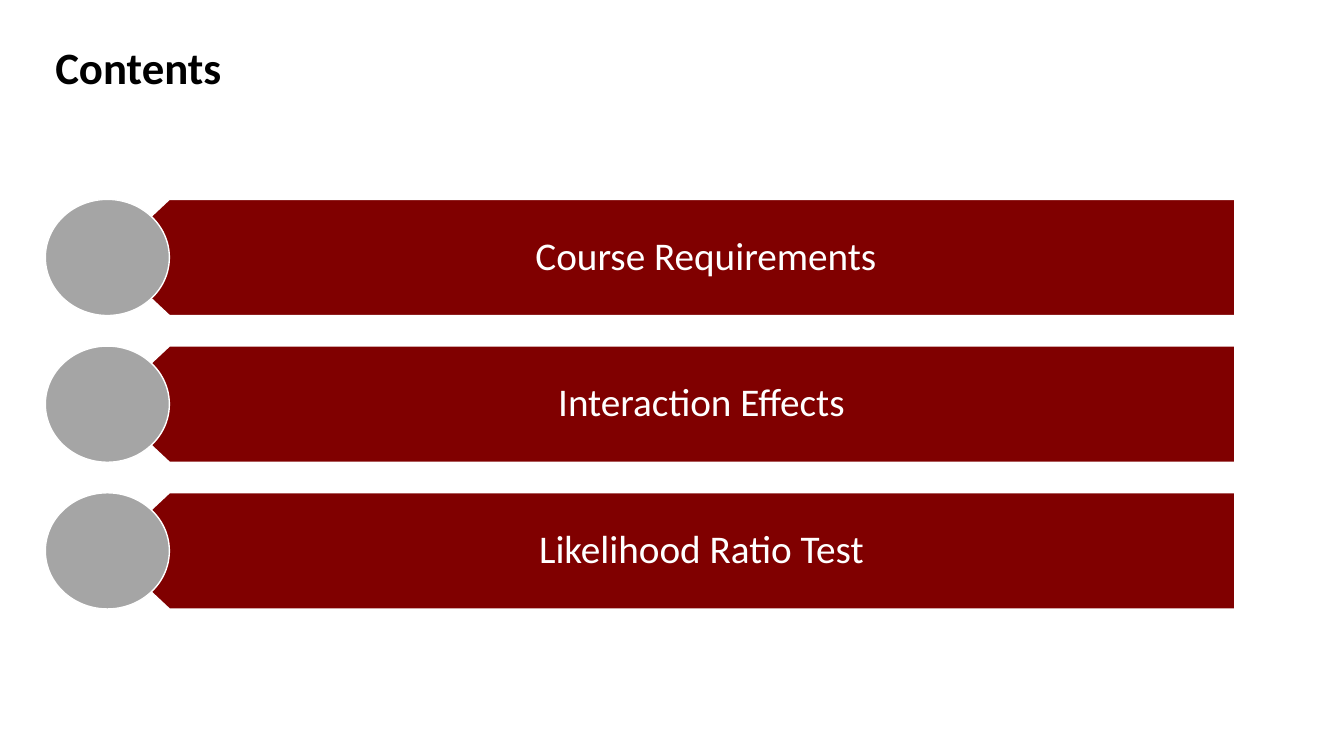
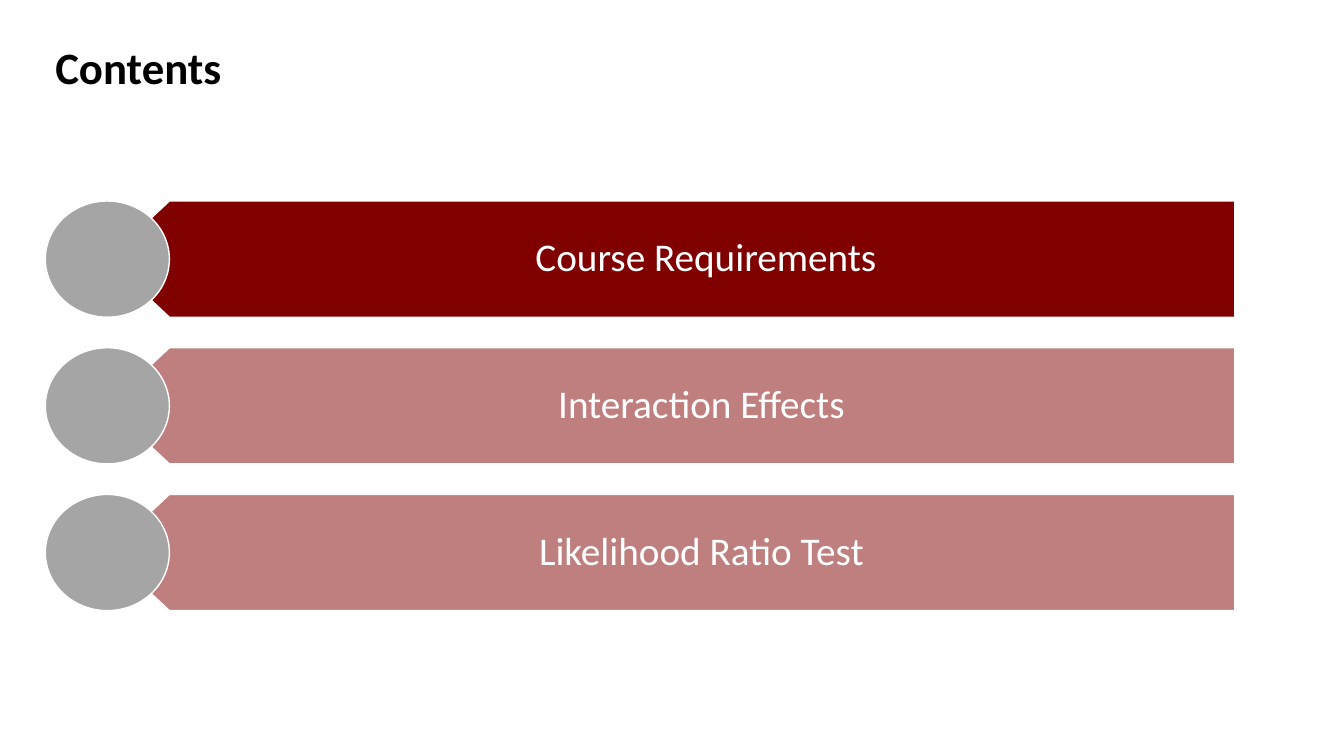
from lxml.etree import SubElement
from pptx import Presentation
from pptx.dml.color import RGBColor as Color
from pptx.enum.shapes import MSO_SHAPE as Kind
from pptx.enum.text import MSO_ANCHOR as Anchor, MSO_AUTO_SIZE as Fit, PP_ALIGN as Align
from pptx.oxml.ns import qn
from pptx.util import Pt

HUES = {"text": "000000", "bar": "800000", "dot": "A5A5A5", "white": "FFFFFF"}
FONT = "Calibri"
TOPICS = [" Course Requirements", "Interaction Effects", "Likelihood Ratio Test"]

LEFT, RIGHT = 32.4, 882
DOT = 88.6
HIGH, STEP = 83, 104.8


class Deck:
    def __init__(self):
        self.file = Presentation()
        self.file.slide_width, self.file.slide_height = Pt(960), Pt(540)

    def page(self, title):
        self.slide = self.file.slides.add_slide(self.file.slide_layouts[6])
        box = self.slide.shapes.add_textbox(Pt(LEFT), Pt(24.5), Pt(680), Pt(46))
        box.text_frame.word_wrap = True
        box.text_frame.auto_size = Fit.SHAPE_TO_FIT_TEXT
        self.label(box.text_frame, title, 32, "text", bold=True)

    def label(self, frame, text, size, hue, bold=False):
        para = frame.paragraphs[0]
        run = para.add_run()
        run.text = text
        font = run.font
        font.name, font.size, font.bold = FONT, Pt(size), bold
        font.color.rgb = Color.from_string(HUES[hue])
        return para

    def paint(self, shape, hue, alpha=100):
        """Fill with a colour at alpha percent, with a thin white line."""
        shape.shadow.inherit = False
        shape.fill.solid()
        shape.fill.fore_color.rgb = Color.from_string(HUES[hue])
        if alpha < 100:
            tone = shape.element.spPr.find(qn("a:solidFill")).find(qn("a:srgbClr"))
            SubElement(tone, qn("a:alpha")).set("val", str(alpha * 1000))
        shape.line.color.rgb = Color.from_string(HUES["white"])
        shape.line.width = Pt(1)

    def bar(self, top, text, alpha):
        """Draw a bar whose left end is a point at the centre of the dot."""
        tip, neck, foot = LEFT + DOT / 2, LEFT + DOT, top + HIGH
        spots = [(neck, foot), (tip, top + HIGH / 2), (neck, top), (RIGHT, top)]
        pen = self.slide.shapes.build_freeform(Pt(RIGHT), Pt(foot))
        pen.add_line_segments([(Pt(x), Pt(y)) for x, y in spots], close=True)
        shape = pen.convert_to_shape()
        self.paint(shape, "bar", alpha)
        frame = shape.text_frame
        frame.word_wrap = True
        frame.vertical_anchor = Anchor.MIDDLE
        frame.margin_left, frame.margin_right = Pt(62), Pt(18.7)
        frame.margin_top = frame.margin_bottom = Pt(10)
        para = self.label(frame, text, 28, "white")
        para.alignment, para.line_spacing = Align.CENTER, 0.9

    def dot(self, top):
        shape = self.slide.shapes.add_shape(
            Kind.OVAL, Pt(LEFT), Pt(top), Pt(DOT), Pt(HIGH))
        self.paint(shape, "dot")

    def agenda(self, top, alphas):
        self.page("Contents")
        for row, (topic, alpha) in enumerate(zip(TOPICS, alphas)):
            y = top + row * STEP
            self.bar(y, topic, alpha)
            self.dot(y)


def main():
    deck = Deck()
    deck.agenda(142.4, [100, 100, 100])
    deck.agenda(143.6, [100, 50, 50])
    deck.file.save("out.pptx")


if __name__ == "__main__":
    main()
